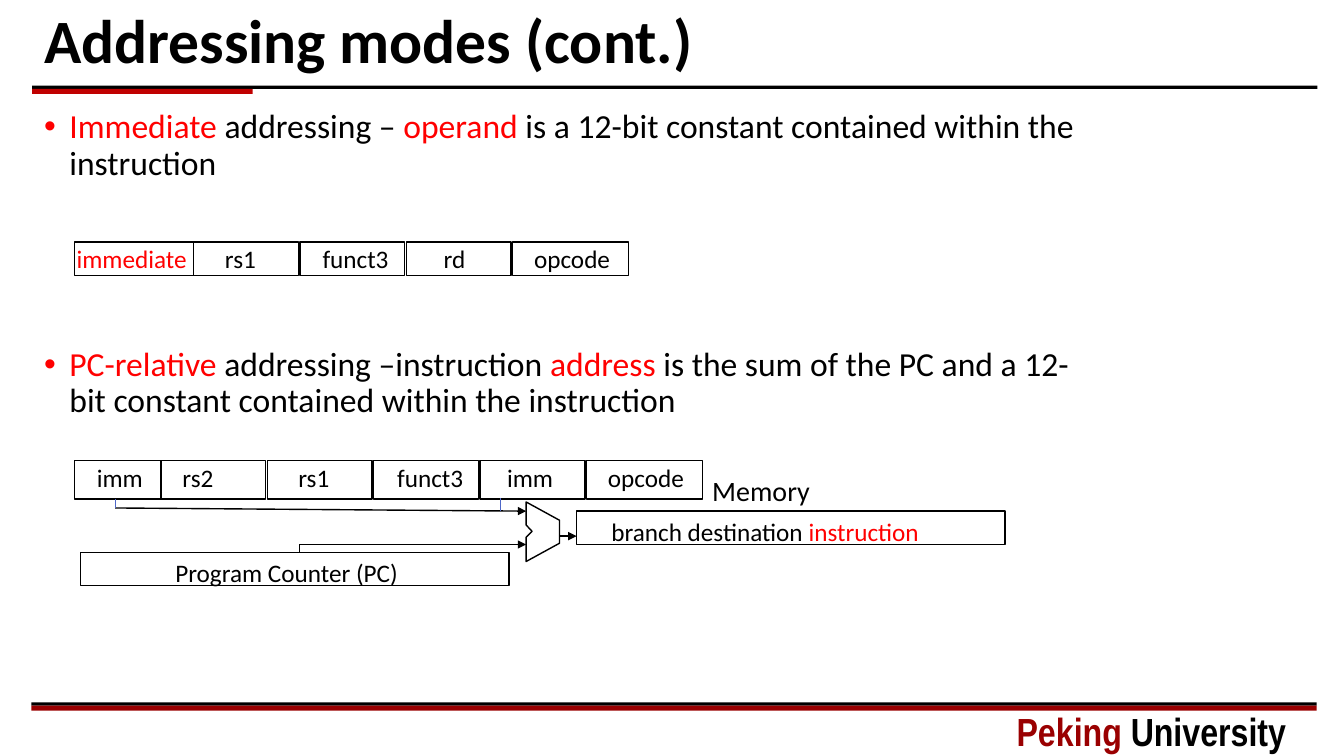
"""Build the slide on immediate and PC-relative addressing modes."""
import pptx
import pptx.dml.color
import pptx.enum.shapes
import pptx.enum.text
import pptx.oxml
import pptx.oxml.ns
import pptx.util

Cm, Pt = pptx.util.Cm, pptx.util.Pt
SHAPE = pptx.enum.shapes.MSO_SHAPE
ANCHOR = pptx.enum.text.MSO_ANCHOR
COLORS = {"black": "000000", "red": "FF0000", "accent": "C00000",
          "crimson": "9A0001", "blue": "4E67C8"}


def rgb(name):
    return pptx.dml.color.RGBColor.from_string(COLORS[name])


def apply(target, values):
    for key, value in values.items():
        setattr(target, key, value)


def add_xml(parent, tag, attrs=""):
    ns = pptx.oxml.ns.nsdecls("a")
    parent.append(pptx.oxml.parse_xml(f"<a:{tag} {ns} {attrs}/>"))


class Deck:
    FONT = {"name": "Calibri", "size": Pt(18), "bold": False}
    LABEL = {"margin_left": Cm(0.18), "margin_right": Cm(0.18),
             "margin_top": Cm(0.08), "margin_bottom": Cm(0.08), "word_wrap": False}
    LABEL_WIDTHS = {"immediate": 3.15, "imm": 1.52, "rs1": 1.14, "rs2": 1.14,
                    "funct3": 2.03, "rd": 0.91, "opcode": 2.29}

    def __init__(self):
        self.prs = pptx.Presentation()
        apply(self.prs, {"slide_width": Cm(33.87), "slide_height": Cm(19.05)})
        self.s = self.prs.slides.add_slide(self.prs.slide_layouts[6])

    def outline(self, sp):
        sp.shadow.inherit = False
        sp.fill.background()
        sp.line.color.rgb = rgb("black")
        sp.line.width = Pt(1)

    def box(self, *at):
        sp = self.s.shapes.add_shape(SHAPE.RECTANGLE, *map(Cm, at))
        self.outline(sp)
        return sp

    def bar(self, color, *at):
        sp = self.box(*at)
        sp.fill.solid()
        sp.fill.fore_color.rgb = rgb(color)
        sp.line.fill.background()

    def text(self, at, paragraphs, font=None, frame=None, para=None):
        tf = self.s.shapes.add_textbox(*map(Cm, at)).text_frame
        apply(tf, {"word_wrap": True, **(frame or {})})
        for i, runs in enumerate(paragraphs):
            p = tf.paragraphs[0] if i == 0 else tf.add_paragraph()
            apply(p, para or {})
            for words, color in runs:
                r = p.add_run()
                r.text = words
                apply(r.font, {**self.FONT, **(font or {})})
                r.font.color.rgb = rgb(color)
        return tf

    def bullets(self, at, paragraphs, gap):
        tf = self.text(at, paragraphs, {"size": Pt(24)}, para={"line_spacing": 0.9})
        for i, p in enumerate(tf.paragraphs):
            pPr = p._p.get_or_add_pPr()
            pPr.set("marL", str(Cm(0.64)))
            pPr.set("indent", str(-Cm(0.64)))
            add_xml(pPr, "buFont", 'typeface="Arial"')
            add_xml(pPr, "buChar", 'char="•"')
            if i:
                p.space_before = Pt(gap)

    def line(self, x1, y1, x2, y2, color="black", width=1, arrow=False):
        c = self.s.shapes.add_connector(
            pptx.enum.shapes.MSO_CONNECTOR.STRAIGHT, *map(Cm, (x1, y1, x2, y2)))
        c.line.color.rgb = rgb(color)
        c.line.width = Pt(width)
        if arrow:
            add_xml(c.line._get_or_add_ln(), "tailEnd", 'type="triangle"')
        add_xml(c._element.spPr, "effectLst")

    def polygon(self, points):
        pts = [(Cm(x), Cm(y)) for x, y in points]
        fb = self.s.shapes.build_freeform(*pts[0])
        fb.add_line_segments(pts[1:], close=True)
        self.outline(fb.convert_to_shape())

    def instruction(self, top, height, second, label_top, fields):
        """Draw an instruction format; fields after the first share one pitch."""
        left, pitch, last = 1.88, 2.68, len(fields) - 1
        for i, (name, label_left, color) in enumerate(fields):
            x = left if i == 0 else second + pitch * (i - 1)
            width = second - left if i == 0 else 2.92 if i == last else 2.64
            self.box(x, top, width, height)
            self.text((label_left, label_top, self.LABEL_WIDTHS[name], 0.81),
                      [[(name, color)]], frame=self.LABEL, para={"line_spacing": 0.85})


def main():
    deck = Deck()
    deck.bar("black", 0.81, 2.16, 32.39, 0.08)
    deck.bar("accent", 0.81, 2.24, 5.56, 0.13)
    deck.bar("black", 0.79, 17.7, 32.39, 0.08)
    deck.bar("crimson", 0.79, 17.78, 32.39, 0.13)
    deck.text((25.37, 17.7, 8.03, 1.45), [[("Peking ", "crimson"), ("University", "black")]],
              {"name": "Arial Narrow", "size": Pt(28), "bold": True})
    deck.text((0.86, 0.05, 32.23, 2.11), [[("Addressing modes (cont.)", "black")]],
              {"size": Pt(44), "bold": True},
              {"vertical_anchor": ANCHOR.MIDDLE}, {"line_spacing": 0.9})
    deck.bullets((0.86, 2.64, 26.97, 12.07), [
        [("Immediate", "red"), (" addressing – ", "black"), ("operand ", "red"),
         ("is a 12-bit constant contained within the instruction", "black")],
        [("PC-relative", "red"), (" addressing –instruction ", "black"), ("address ", "red"),
         ("is the sum of the PC and a 12-bit constant contained within the instruction",
          "black")],
    ], gap=118)

    deck.instruction(6.1, 0.84, 4.88, 6.17, [
        ("immediate", 1.75, "red"), ("rs1", 5.49, "black"), ("funct3", 7.95, "black"),
        ("rd", 11, "black"), ("opcode", 13.28, "black")])
    deck.instruction(11.61, 0.97, 4.06, 11.69, [
        ("imm", 2.26, "black"), ("rs2", 4.42, "black"), ("rs1", 7.34, "black"),
        ("funct3", 9.83, "black"), ("imm", 12.6, "black"), ("opcode", 15.14, "black")])

    deck.box(2.03, 13.92, 10.8, 0.84)
    deck.text((4.17, 13.92, 6.2, 1.02), [[("Program Counter (PC)", "black")]],
              frame={"word_wrap": False})
    deck.box(14.53, 12.88, 10.8, 0.84)
    deck.text((15.16, 12.88, 8.36, 1.02),
              [[("branch destination ", "black"), ("instruction", "red")]],
              frame={"word_wrap": False})
    deck.text((17.7, 11.81, 4.01, 1.12), [[("Memory", "black")]], {"size": Pt(20)})

    deck.polygon([(13.26, 12.65), (14.1, 13.11), (14.1, 13.69), (13.26, 14.15),
                  (13.26, 13.54), (13.41, 13.39), (13.26, 13.23)])
    deck.line(2.9, 12.8, 13.26, 12.88, arrow=True)
    deck.line(7.54, 13.72, 13.26, 13.72, arrow=True)
    deck.line(7.54, 13.72, 7.54, 13.92)
    deck.line(14.1, 13.51, 14.53, 13.51, arrow=True)
    deck.line(12.6, 12.55, 12.6, 12.88, "blue", 0.5)
    deck.line(2.9, 12.57, 2.9, 12.8, "blue", 0.5)
    deck.prs.save("out.pptx")


if __name__ == "__main__":
    main()
